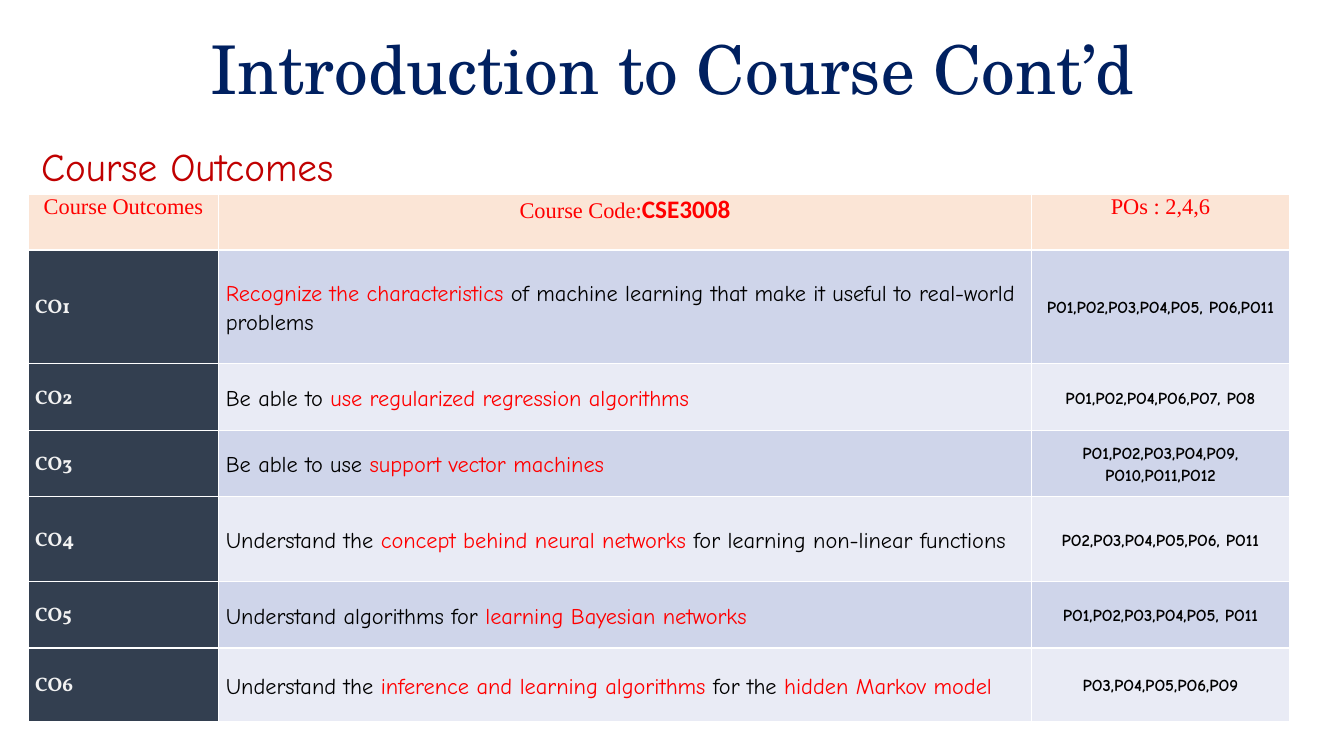
"""Build the course outcomes slide."""
import pptx
import pptx.dml.color
import pptx.enum.text
import pptx.oxml
import pptx.oxml.ns
import pptx.util

Inches = pptx.util.Inches
Pt = pptx.util.Pt
RGBColor = pptx.dml.color.RGBColor
Align = pptx.enum.text.PP_ALIGN
Anchor = pptx.enum.text.MSO_ANCHOR

NAVY = RGBColor(0x00, 0x20, 0x60)
MAROON = RGBColor(0xC0, 0x00, 0x00)
RED = RGBColor(0xFF, 0x00, 0x00)
BLACK = RGBColor(0x00, 0x00, 0x00)
PALE = RGBColor(0xF2, 0xF2, 0xF2)
PEACH = RGBColor(0xFB, 0xE5, 0xD6)
SLATE = RGBColor(0x33, 0x3F, 0x50)
BANDS = [RGBColor(0xCF, 0xD5, 0xEA), RGBColor(0xE9, 0xEB, 0xF5)]

TITLE = {"name": "TeX Gyre Schola", "size": Pt(48)}
LABEL = {"name": "Comic Neue", "size": Pt(28)}
HEAD = {"name": "Times New Roman", "size": Pt(16), "bold": False}
CODE = {"name": "Calibri", "size": Pt(18), "bold": True}
MARK = {"name": "Vollkorn", "size": Pt(14), "bold": True}
BODY = {"name": "Comic Neue", "size": Pt(16), "bold": False}
GOALS = {"name": "Comic Neue", "size": Pt(12), "bold": True}
INSETS = {"margin_left": Inches(0.07), "margin_right": Inches(0.07),
          "margin_top": 0, "margin_bottom": 0}
SPACING = {"line_spacing": 1.15, "space_after": Pt(10)}


def add_run(para, text, style, color):
    """Add a styled run to a paragraph."""
    run = para.add_run()
    run.text = text
    for key, value in style.items():
        setattr(run.font, key, value)
    run.font.color.rgb = color


def fill_cell(cell, fill, runs, align):
    """Set the borders, fill and text of a cell."""
    for key, value in INSETS.items():
        setattr(cell, key, value)
    for side in "LRTB":
        cell._tc.get_or_add_tcPr().append(pptx.oxml.parse_xml(
            f'<a:ln{side} {pptx.oxml.ns.nsdecls("a")} w="12700"><a:solidFill>'
            f'<a:srgbClr val="FFFFFF"/></a:solidFill></a:ln{side}>'))
    cell.fill.solid()
    cell.fill.fore_color.rgb = fill
    para = cell.text_frame.paragraphs[0]
    para.alignment = align
    for text, style, color in runs:
        add_run(para, text, style, color)


deck = pptx.Presentation()
deck.slide_width = Inches(13.33)
deck.slide_height = Inches(7.5)
slide = deck.slides.add_slide(deck.slide_layouts[6])

boxes = [
    ((0.92, 0.27, 11.5, 0.9), "Introduction to Course Cont’d", TITLE, NAVY,
     Align.CENTER, Anchor.MIDDLE, 0.9),
    ((0.31, 1.36, 6.67, 0.57), "Course Outcomes", LABEL, MAROON,
     Align.LEFT, Anchor.TOP, 1.0),
]
for place, text, style, color, align, anchor, spacing in boxes:
    frame = slide.shapes.add_textbox(*map(Inches, place)).text_frame
    frame.word_wrap = True
    frame.vertical_anchor = anchor
    para = frame.paragraphs[0]
    para.alignment = align
    para.line_spacing = spacing
    add_run(para, text, style, color)

heads = [
    [("Course Outcomes", HEAD, RED)],
    [("Course Code:", HEAD, RED), ("CSE3008", CODE, RED)],
    [("POs : 2,4,6", HEAD, RED)],
]
# Asterisks enclose the red words.
rows = [
    (1.13, "*Recognize the characteristics *of machine learning that make it "
     "useful to real-world problems", "PO1,PO2,PO3,PO4,PO5, PO6,PO11"),
    (0.66, "Be able to *use regularized regression algorithms*",
     "PO1,PO2,PO4,PO6,PO7, PO8"),
    (0.66, "Be able to use *support vector machines*",
     "PO1,PO2,PO3,PO4,PO9, PO10,PO11,PO12"),
    (0.84, "Understand the *concept behind neural networks *for learning "
     "non-linear functions", "PO2,PO3,PO4,PO5,PO6, PO11"),
    (0.66, "Understand algorithms for *learning Bayesian networks*",
     "PO1,PO2,PO3,PO4,PO5, PO11"),
    (0.73, "Understand the *inference and learning algorithms *for the "
     "*hidden Markov model*", "PO3,PO4,PO5,PO6,PO9"),
]

table = slide.shapes.add_table(
    len(rows) + 1, len(heads), Inches(0.28), Inches(1.93),
    Inches(12.51), Inches(5.23)).table
for column, width in zip(table.columns, [1.89, 8.06, 2.56]):
    column.width = Inches(width)
table.rows[0].height = Inches(0.55)
for col, runs in enumerate(heads):
    fill_cell(table.cell(0, col), PEACH, runs, Align.CENTER)

for row, (height, text, goals) in enumerate(rows, 1):
    table.rows[row].height = Inches(height)
    band = BANDS[(row - 1) % 2]
    parts = [(part, BODY, RED if place % 2 else BLACK)
             for place, part in enumerate(text.split("*")) if part]
    cells = [
        (SLATE, [(f"CO{row}", MARK, PALE)], Align.LEFT),
        (band, parts, Align.LEFT),
        (band, [(goals, GOALS, BLACK)], Align.CENTER),
    ]
    for col, (fill, runs, align) in enumerate(cells):
        cell = table.cell(row, col)
        fill_cell(cell, fill, runs, align)
        cell.vertical_anchor = Anchor.MIDDLE
        for key, value in SPACING.items():
            setattr(cell.text_frame.paragraphs[0], key, value)

deck.save("out.pptx")
